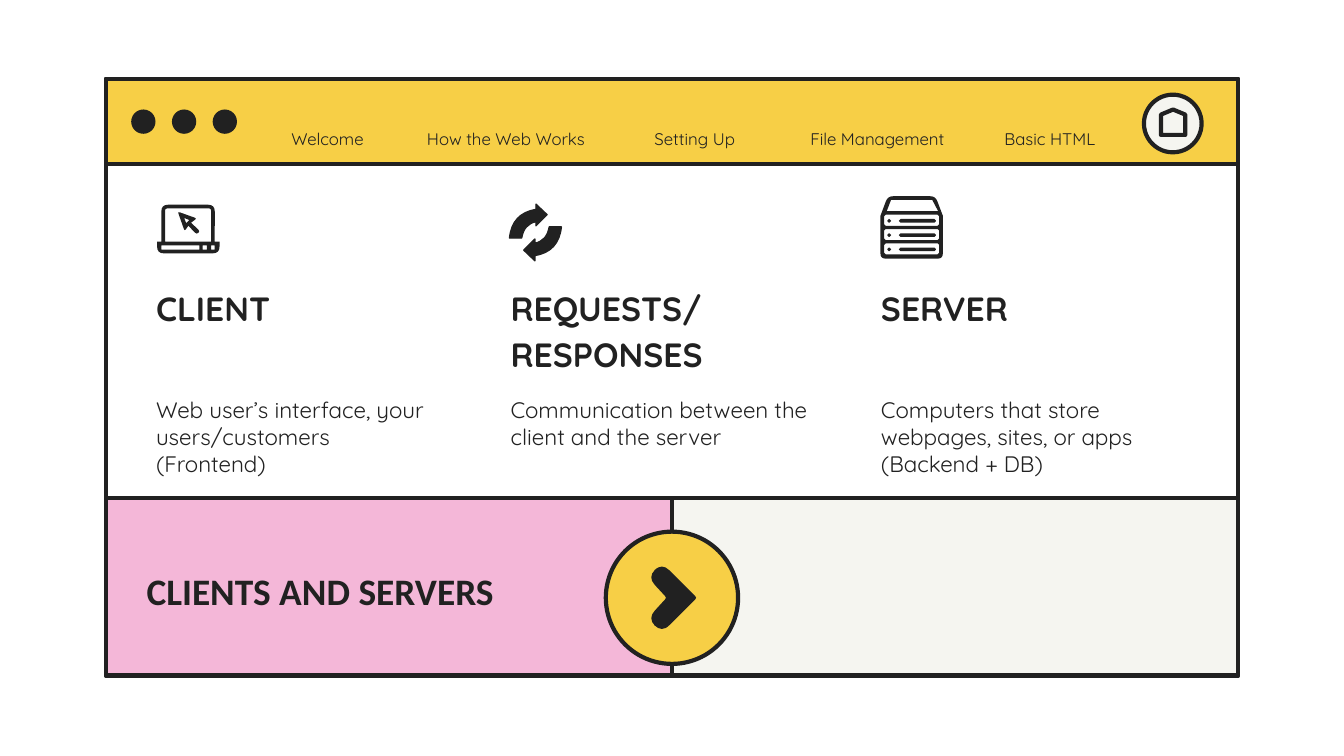
from math import hypot

from pptx import Presentation
from pptx import util as u
from pptx.dml.color import RGBColor
from pptx.enum import shapes, text
from pptx.oxml.xmlchemy import OxmlElement

INK = RGBColor(0x21, 0x21, 0x21)
WHITE = RGBColor(0xFF, 0xFF, 0xFF)
YELLOW = RGBColor(0xF7, 0xCF, 0x46)
PINK = RGBColor(0xF4, 0xB7, 0xD8)
CREAM = RGBColor(0xF5, 0xF5, 0xF0)

RECTANGLE = shapes.MSO_SHAPE.RECTANGLE
OVAL = shapes.MSO_SHAPE.OVAL


def rounded(corners, radius=0):
    """Turn corners (x, y) or (x, y, own radius) into points and curve triples."""
    contour = []
    for i, (x, y, *own) in enumerate(corners):
        reach = own[0] if own else radius
        ends = []
        for nx, ny in (corners[i - 1][:2], corners[(i + 1) % len(corners)][:2]):
            length = hypot(nx - x, ny - y)
            share = min(reach, length) / length
            ends.append((x + (nx - x) * share, y + (ny - y) * share))
        contour.append([ends[0], (x, y), ends[1]] if reach else [(x, y)])
    return contour


def box(left, top, right, bottom, radius=0.03):
    return rounded([(left, top), (right, top), (right, bottom), (left, bottom)], radius)


class SlideBuilder:
    font = "Quicksand"
    line_width = u.Pt(2.25)

    def __init__(self, slide):
        self.slide = slide

    def paint(self, shape, fill, line_width):
        shape.shadow.inherit = False
        if fill is None:
            shape.fill.background()
        else:
            shape.fill.solid()
            shape.fill.fore_color.rgb = fill
        if line_width:
            shape.line.color.rgb = INK
            shape.line.width = line_width
        else:
            shape.line.fill.background()

    def shape(self, kind, left, top, width, height, fill=None):
        shape = self.slide.shapes.add_shape(
            kind, u.Cm(left), u.Cm(top), u.Cm(width), u.Cm(height))
        self.paint(shape, fill, self.line_width)
        return shape

    def outline(self, *contours, line_width=None):
        """Draw a filled outline; contours after the first are holes."""
        builder = None
        for contour in contours:
            points = [(u.Cm(x), u.Cm(y)) for corner in contour for x, y in corner]
            if builder is None:
                builder = self.slide.shapes.build_freeform(*points[0])
            else:
                builder.move_to(*points[0])
            builder.add_line_segments(points[1:], close=True)
        shape = builder.convert_to_shape()
        self.curve_corners(shape, contours)
        self.paint(shape, INK, line_width)

    def curve_corners(self, shape, contours):
        nodes = iter(shape.element.xpath(".//a:moveTo | .//a:lnTo"))
        for contour in contours:
            for corner in contour:
                next(nodes)
                if len(corner) == 3:
                    control, end = next(nodes), next(nodes)
                    curve = OxmlElement("a:quadBezTo")
                    control.addprevious(curve)
                    for node in (control, end):
                        curve.append(node[0])
                        node.getparent().remove(node)

    def text(self, words, left, top, width, height, size, bold=False, font=None,
             align=text.PP_ALIGN.LEFT, anchor=text.MSO_ANCHOR.TOP,
             inset_top=0.25, inset_bottom=0.25, space_after=0):
        shape = self.slide.shapes.add_textbox(
            u.Cm(left), u.Cm(top), u.Cm(width), u.Cm(height))
        frame = shape.text_frame
        frame.word_wrap = True
        frame.vertical_anchor = anchor
        frame.margin_left = frame.margin_right = u.Cm(0.25)
        frame.margin_top, frame.margin_bottom = u.Cm(inset_top), u.Cm(inset_bottom)
        frame.text = words
        for paragraph in frame.paragraphs:
            paragraph.alignment = align
            paragraph.space_after = u.Pt(space_after)
            for run in paragraph.runs:
                run.font.name = font or self.font
                run.font.size = u.Pt(size)
                run.font.bold = bold
                run.font.color.rgb = INK


def main():
    presentation = Presentation()
    presentation.slide_width, presentation.slide_height = u.Cm(25.4), u.Cm(14.29)
    builder = SlideBuilder(presentation.slides.add_slide(presentation.slide_layouts[6]))

    # Browser window
    left, top, width, height = 2.0, 1.49, 21.4, 11.28
    half, footer_top, footer_height = width / 2, 9.41, 3.36
    builder.shape(RECTANGLE, left, top, width, height, WHITE)
    builder.shape(RECTANGLE, left, footer_top, half, footer_height, PINK)
    builder.shape(RECTANGLE, left + half, footer_top, half, footer_height, CREAM)
    builder.shape(RECTANGLE, left, top, width, 1.61, YELLOW)
    for i in range(3):
        dot = builder.shape(OVAL, 2.48 + i * 0.77, 2.07, 0.46, 0.46, INK)
        dot.line.fill.background()

    # Title
    builder.text("CLIENTS AND SERVERS", 2.52, 10.49, 8.36, 1.4, 20, bold=True,
                 font="Calibri")

    # Three columns
    columns = [
        (2.7, "CLIENT", "Web user’s interface, your users/customers\n(Frontend)"),
        (9.4, "REQUESTS/\nRESPONSES", "Communication between the client and the server"),
        (16.4, "SERVER", "Computers that store webpages, sites, or apps\n(Backend + DB)"),
    ]
    for x, heading, body in columns:
        builder.text(heading, x, 5.2, 6.3, 1.4, 18, bold=True, space_after=3)
        builder.text(body, x, 7.24, 6.3, 1.6, 12)

    # Next button
    builder.shape(OVAL, 11.45, 10.05, 2.5, 2.5, YELLOW)
    builder.outline(rounded([(12.51, 10.64, 0.2), (13.17, 11.3, 0.04), (12.51, 11.96, 0.2),
                             (12.24, 11.69, 0.2), (12.6, 11.3, 0.04), (12.24, 10.91, 0.2)]))

    # Navigation bar
    builder.shape(OVAL, 21.62, 1.79, 1.09, 1.09, CREAM)
    home = builder.shape(shapes.MSO_SHAPE.FLOWCHART_OFFPAGE_CONNECTOR,
                         21.94, 2.07, 0.46, 0.48)
    home.rotation = 180
    menu = [("Welcome", 6.19), ("How the Web Works", 9.56), ("Setting Up", 13.13),
            ("File Management", 16.58), ("Basic HTML", 19.84)]
    for label, center in menu:
        builder.text(label, center - 2, 2.08, 4, 0.56, 9, align=text.PP_ALIGN.CENTER,
                     anchor=text.MSO_ANCHOR.MIDDLE, inset_top=0.51, inset_bottom=0)

    # Laptop icon
    builder.outline(
        rounded([(3.05, 3.87, 0.13), (4.06, 3.87, 0.13), (4.06, 4.57), (4.15, 4.57),
                 (4.15, 4.79, 0.13), (2.97, 4.79, 0.13), (2.97, 4.57), (3.05, 4.57)]),
        rounded([(3.12, 3.94, 0.04), (3.99, 3.94, 0.04), (3.99, 4.57), (3.12, 4.57)]),
        *(box(start, 4.64, end, 4.72, 0)
          for start, end in [(3.05, 3.77), (3.83, 3.91), (3.99, 4.06)]))
    builder.outline(
        rounded([(3.36, 4.0, 0.04), (3.72, 4.13, 0.04), (3.61, 4.21), (3.78, 4.37, 0.04),
                 (3.72, 4.43, 0.04), (3.56, 4.27), (3.49, 4.37, 0.04)]),
        rounded([(3.48, 4.12), (3.58, 4.16), (3.52, 4.22)]))

    # Server icon
    rows = [4.06 + i * 0.27 for i in range(3)]
    builder.outline(
        rounded([(16.78, 3.71, 0.1), (17.68, 3.71, 0.1), (17.82, 4.08),
                 (17.82, 4.89, 0.1), (16.64, 4.89, 0.1), (16.64, 4.08)]),
        rounded([(16.84, 3.78), (17.62, 3.78), (17.73, 3.99), (16.76, 3.99)]),
        *(box(16.71, y, 17.75, y + 0.21) for y in rows))
    for y in rows:
        for start, end in [(16.99, 17.69), (16.77, 16.84)]:
            builder.outline(box(start, y + 0.08, end, y + 0.15))

    # Exchange icon: the second arrow is the first one turned by half
    arrow = rounded([(10.13, 3.86), (10.34, 4.06), (10.13, 4.27), (10.13, 4.19),
                     (9.9, 4.24, 1), (9.86, 4.5), (9.63, 4.5), (9.68, 4.03, 1),
                     (10.13, 3.96)])
    turned = [[(20.24 - x, 8.79 - y) for x, y in corner] for corner in arrow]
    for contour in (arrow, turned):
        builder.outline(contour, line_width=u.Pt(0.75))

    presentation.save("out.pptx")


if __name__ == "__main__":
    main()
